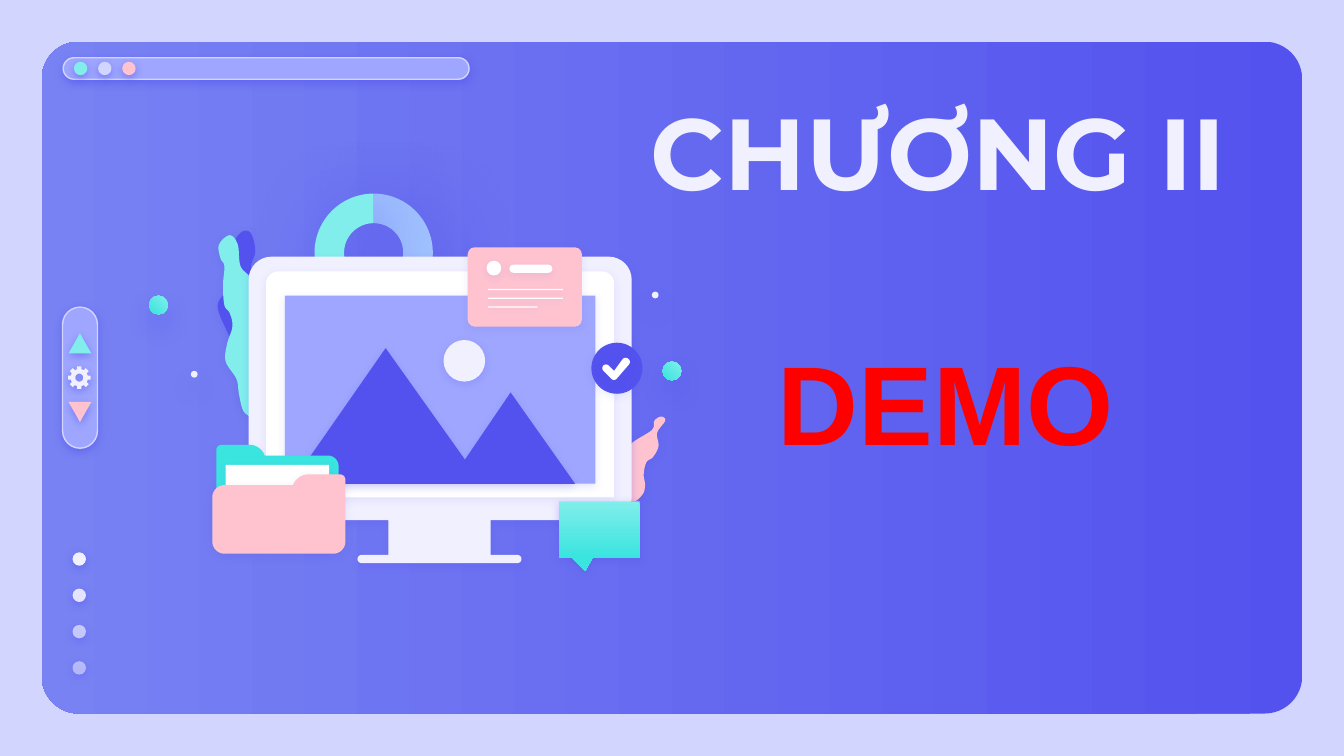
import math

import pptx
import pptx.util
from lxml import etree
from pptx.dml.color import RGBColor
from pptx.enum.shapes import MSO_SHAPE
from pptx.enum.text import MSO_ANCHOR, MSO_AUTO_SIZE, PP_ALIGN
from pptx.oxml.ns import qn

WIDTH = 10
HEIGHT = WIDTH * 9 / 16
INDIGO = RGBColor(0x53, 0x52, 0xEE)
VIOLET = RGBColor(0x78, 0x82, 0xF3)
PERIWINKLE = RGBColor(0x9E, 0xA6, 0xFF)
LAVENDER = RGBColor(0xD2, 0xD6, 0xFF)
SKY = RGBColor(0xA1, 0xC3, 0xFF)
AQUA = RGBColor(0x81, 0xEE, 0xEB)
TEAL = RGBColor(0x3A, 0xE4, 0xDF)
PINK = RGBColor(0xFF, 0xC3, 0xD0)
PALE = RGBColor(0xF1, 0xF0, 0xFF)
WHITE = RGBColor(0xFF, 0xFF, 0xFF)
RED = RGBColor(0xFF, 0, 0)

# Shadow: opacity %, blur pt, distance pt, direction in degrees
SOFT = (4.5, 1.5, 90)
WIDE = (38, 12.4, 6.8, 90)
RING = (67, 38.2, 9, 49)

TITLES = [
    ("CHƯƠNG II", (4.69, 0.5, 4.53, 1.24), PP_ALIGN.RIGHT, MSO_ANCHOR.MIDDLE,
     dict(name="Montserrat", size=pptx.util.Pt(54), bold=True), PALE),
    ("DEMO", (5.69, 2.43, 4.37, 1.11), PP_ALIGN.LEFT, MSO_ANCHOR.TOP,
     dict(name="Arial", size=pptx.util.Pt(60), bold=True), RED),
]
WINDOW_BUTTONS = [AQUA, LAVENDER, PINK]
PAGE_DOT_OPACITY = [100, 90, 67, 54]

# Leaf outlines: points joined by a smooth closed curve
PINK_LEAF = [(4.92, 3.1), (4.95, 3.13), (4.89, 3.22), (4.9, 3.32), (4.86, 3.4), (4.81, 3.44),
             (4.79, 3.53), (4.8, 3.61), (4.78, 3.68), (4.7, 3.73), (4.55, 3.63), (4.61, 3.44),
             (4.66, 3.4), (4.7, 3.3), (4.85, 3.2), (4.87, 3.13)]
INDIGO_LEAF = [(1.81, 1.72), (1.87, 1.74), (1.9, 1.87), (1.87, 1.99), (1.94, 2.12), (1.98, 2.17),
               (2.01, 2.31), (1.97, 2.39), (2.02, 2.53), (2.09, 2.65), (2.05, 2.79), (2.01, 2.92),
               (1.98, 3.03), (1.91, 3.03), (1.79, 2.94), (1.79, 2.7), (1.71, 2.51), (1.62, 2.28),
               (1.7, 2.15), (1.77, 2), (1.76, 1.9), (1.75, 1.79)]
AQUA_LEAF = [(1.71, 1.75), (1.77, 1.82), (1.79, 1.98), (1.87, 2.08), (1.91, 2.27), (1.96, 2.45),
             (2.04, 2.63), (2.01, 2.71), (1.98, 2.85), (2.01, 2.92), (2.02, 3.02), (1.93, 3.11),
             (1.82, 3.07), (1.78, 2.94), (1.76, 2.82), (1.68, 2.69), (1.69, 2.56), (1.73, 2.43),
             (1.71, 2.33), (1.67, 2.27), (1.66, 2.12), (1.67, 1.98), (1.64, 1.92), (1.63, 1.82)]

# Angular outlines: corners as x, y, corner radius
MONITOR = [(1.85, 1.91, 0.17), (4.7, 1.91, 0.17), (4.7, 3.87, 0.17), (3.65, 3.87, 0),
           (3.65, 4.13, 0), (3.88, 4.13, 0.03), (3.88, 4.19, 0.03), (2.66, 4.19, 0.03),
           (2.66, 4.13, 0.03), (2.89, 4.13, 0), (2.89, 3.87, 0), (1.85, 3.87, 0.17)]
BEZEL = [(1.98, 2.02, 0.09), (4.57, 2.02, 0.09), (4.57, 3.7, 0), (1.98, 3.7, 0)]
CHECK = [(4.47, 2.74, 0.03), (4.51, 2.7, 0.03), (4.57, 2.76, 0), (4.65, 2.65, 0.03),
         (4.7, 2.69, 0.03), (4.57, 2.84, 0.03)]
MOUNTAINS = [(x, y, 0) for x, y in [(2.87, 2.59), (2.25, 3.48), (2.25, 3.6), (4.28, 3.6),
                                    (3.8, 2.92), (3.46, 3.42)]]
FOLDER_BACK = [(1.61, 3.31, 0.04), (1.94, 3.31, 0.08), (1.97, 3.39, 0), (2.52, 3.39, 0.08),
               (2.52, 4.05, 0.08), (1.61, 4.05, 0.08)]
FOLDER_FRONT = [(2.21, 3.53, 0.08), (2.57, 3.53, 0.04), (2.57, 4.12, 0.09), (1.58, 4.12, 0.09),
                (1.58, 3.61, 0.09), (2.18, 3.61, 0)]


def bezier(a, b, c, d, steps=8):
    for i in range(steps + 1):
        t = i / steps
        weights = ((1 - t) ** 3, 3 * t * (1 - t) ** 2, 3 * t * t * (1 - t), t ** 3)
        yield tuple(sum(w * p[k] for w, p in zip(weights, (a, b, c, d))) for k in (0, 1))


def toward(start, end, share):
    return tuple(s + (e - s) * share for s, e in zip(start, end))


def smooth(points):
    """Catmull-Rom curve through all points."""
    curve = []
    for i, here in enumerate(points):
        before, after, beyond = points[i - 1], points[(i + 1) % len(points)], points[(i + 2) % len(points)]
        leave = tuple(h + (a - b) / 6 for h, a, b in zip(here, after, before))
        arrive = tuple(a - (b - h) / 6 for a, b, h in zip(after, beyond, here))
        curve += list(bezier(here, leave, arrive, after))[:-1]
    return curve


def rounded(corners):
    outline = []
    for i, (x, y, radius) in enumerate(corners):
        corner = (x, y)
        if not radius:
            outline.append(corner)
            continue
        start, end = (toward(corner, near, radius / math.dist(corner, near))
                      for near in (corners[i - 1][:2], corners[(i + 1) % len(corners)][:2]))
        outline += bezier(start, toward(start, corner, 0.55), toward(end, corner, 0.55), end)
    return outline


def polar(cx, cy, radius, angle):
    return cx + radius * math.cos(angle), cy + radius * math.sin(angle)


def gear(cx, cy, teeth=8):
    rim = [polar(cx, cy, radius, math.tau * i / teeth + turn) for i in range(teeth)
           for radius, turn in ((0.065, -0.24), (0.085, -0.18), (0.085, 0.18), (0.065, 0.24))]
    hole = [polar(cx, cy, 0.03, -math.tau * i / 24) for i in range(24)]
    return rim, hole


def style(shape, fill, shadow=None, opacity=100, angle=0, outline=None):
    """A pair of colours as fill makes a gradient at the given angle."""
    if isinstance(fill, tuple) and not isinstance(fill, RGBColor):
        shape.fill.gradient()
        shape.fill.gradient_angle = angle
        for stop, color in zip(shape.fill.gradient_stops, fill):
            stop.color.rgb = color
    else:
        shape.fill.solid()
        shape.fill.fore_color.rgb = fill
        if opacity < 100:
            color = shape._element.spPr.find(".//" + qn("a:srgbClr"))
            etree.SubElement(color, qn("a:alpha"), val=str(opacity * 1000))
    if outline:
        shape.line.color.rgb = outline
        shape.line.width = pptx.util.Pt(0.75)
    else:
        shape.line.fill.background()
    shape.shadow.inherit = False
    if shadow:
        alpha, blur, distance, direction = shadow
        effects = shape._element.spPr.find(qn("a:effectLst"))
        outer = etree.SubElement(effects, qn("a:outerShdw"), blurRad=str(pptx.util.Pt(blur)),
                                 dist=str(pptx.util.Pt(distance)), dir=str(direction * 60000),
                                 algn="bl", rotWithShape="0")
        color = etree.SubElement(outer, qn("a:srgbClr"), val=str(INDIGO))
        etree.SubElement(color, qn("a:alpha"), val=str(alpha * 1000))
    return shape


def preset(shapes, kind, box, fill, shadow=None, adjust=(), rotation=0, **look):
    shape = shapes.add_shape(kind, *map(pptx.util.Inches, box))
    for i, value in enumerate(adjust):
        shape.adjustments[i] = value
    shape.rotation = rotation
    return style(shape, fill, shadow, **look)


def free(shapes, fill, shadow, *contours):
    first, *others = [[tuple(map(pptx.util.Inches, p)) for p in contour] for contour in contours]
    builder = shapes.build_freeform(*first[0])
    builder.add_line_segments(first[1:], close=True)
    for contour in others:
        builder.move_to(*contour[0])
        builder.add_line_segments(contour[1:], close=True)
    style(builder.convert_to_shape(), fill, shadow)


def draw_frame(shapes):
    bar = (50, *SOFT)
    pill, dot = MSO_SHAPE.ROUNDED_RECTANGLE, MSO_SHAPE.OVAL
    preset(shapes, pill, (0.31, 0.31, 9.38, 5), (INDIGO, VIOLET), adjust=[0.056], angle=180)
    preset(shapes, pill, (0.47, 0.43, 3.02, 0.16), PERIWINKLE, bar, [0.5], outline=LAVENDER)
    buttons = shapes.add_group_shape().shapes
    for i, color in enumerate(WINDOW_BUTTONS):
        preset(buttons, dot, (0.55 + 0.18 * i, 0.46, 0.1, 0.1), color, bar)
    pages = shapes.add_group_shape().shapes
    for i, opacity in enumerate(PAGE_DOT_OPACITY):
        preset(pages, dot, (0.54, 4.11 + 0.27 * i, 0.1, 0.1), PALE, bar, opacity=opacity)


def draw_scroller(shapes):
    bar = (50, *SOFT)
    preset(shapes, MSO_SHAPE.ROUNDED_RECTANGLE, (0.07, 2.68, 1.05, 0.26), PERIWINKLE, bar, [0.5],
           rotation=90, outline=LAVENDER)
    for top, color, rotation in ((2.48, AQUA, 0), (2.99, PINK, 180)):
        preset(shapes, MSO_SHAPE.ISOSCELES_TRIANGLE, (0.51, top, 0.17, 0.15), color, bar, rotation=rotation)
    free(shapes, PALE, (52, *SOFT), *gear(0.59, 2.81))


def draw_bubbles(shapes, large, small):
    preset(shapes, MSO_SHAPE.OVAL, (*large, 0.14, 0.14), (AQUA, TEAL), WIDE, angle=225)
    preset(shapes, MSO_SHAPE.OVAL, (*small, 0.05, 0.05), PALE, WIDE)


def draw_computer(shapes):
    pill, dot, block = MSO_SHAPE.ROUNDED_RECTANGLE, MSO_SHAPE.OVAL, MSO_SHAPE.RECTANGLE
    faint, light, medium = (10, *SOFT), (18, *SOFT), (22, *SOFT)
    for color, rotation in ((SKY, 90), (AQUA, 270)):
        preset(shapes, MSO_SHAPE.BLOCK_ARC, (2.34, 1.44, 0.88, 0.88), color, RING, rotation=rotation)
    free(shapes, PINK, medium, smooth(PINK_LEAF))
    free(shapes, INDIGO, light, smooth(INDIGO_LEAF))
    free(shapes, AQUA, light, smooth(AQUA_LEAF))
    draw_bubbles(shapes, (1.11, 2.2), (1.42, 2.76))
    free(shapes, PALE, medium, rounded(MONITOR))
    free(shapes, WHITE, faint, rounded(BEZEL))
    preset(shapes, block, (2.12, 2.2, 2.31, 1.4), PERIWINKLE, (14, *SOFT))
    preset(shapes, pill, (3.48, 1.84, 0.85, 0.59), PINK, faint, [0.09])
    preset(shapes, dot, (3.62, 1.94, 0.11, 0.11), WHITE, faint)
    preset(shapes, pill, (3.79, 1.97, 0.32, 0.06), WHITE, faint, [0.5])
    for row, width in enumerate((0.56, 0.56, 0.37)):
        preset(shapes, block, (3.63, 2.15 + 0.13 * row / 2, width, 0.01), WHITE, faint)
    preset(shapes, dot, (4.4, 2.55, 0.38, 0.38), INDIGO, faint)
    free(shapes, WHITE, faint, rounded(CHECK))
    free(shapes, INDIGO, light, rounded(MOUNTAINS))
    preset(shapes, dot, (3.3, 2.53, 0.31, 0.31), PALE, light)
    free(shapes, TEAL, faint, rounded(FOLDER_BACK))
    preset(shapes, block, (1.68, 3.46, 0.77, 0.64), WHITE, faint)
    free(shapes, PINK, faint, rounded(FOLDER_FRONT))
    draw_bubbles(shapes, (4.93, 2.69), (4.85, 2.17))
    preset(shapes, MSO_SHAPE.ROUNDED_RECTANGULAR_CALLOUT, (4.16, 3.73, 0.6, 0.42), (AQUA, TEAL),
           (31, *SOFT), [-0.174, 0.731, 0], angle=270)


def add_title(shapes, wording, box, align, anchor, font, color):
    frame = shapes.add_textbox(*map(pptx.util.Inches, box)).text_frame
    layout = dict(word_wrap=True, vertical_anchor=anchor, auto_size=MSO_AUTO_SIZE.NONE,
                  margin_left=pptx.util.Inches(0.1), margin_right=pptx.util.Inches(0.1))
    for key, value in layout.items():
        setattr(frame, key, value)
    paragraph = frame.paragraphs[0]
    paragraph.alignment = align
    run = paragraph.add_run()
    run.text = wording
    for key, value in font.items():
        setattr(run.font, key, value)
    run.font.color.rgb = color


def main():
    deck = pptx.Presentation()
    deck.slide_width, deck.slide_height = pptx.util.Inches(WIDTH), pptx.util.Inches(HEIGHT)
    slide = deck.slides.add_slide(deck.slide_layouts[6])
    slide.background.fill.solid()
    slide.background.fill.fore_color.rgb = LAVENDER
    draw_frame(slide.shapes)
    add_title(slide.shapes, *TITLES[0])
    draw_scroller(slide.shapes)
    draw_computer(slide.shapes.add_group_shape().shapes)
    add_title(slide.shapes, *TITLES[1])
    deck.save("out.pptx")


if __name__ == "__main__":
    main()
